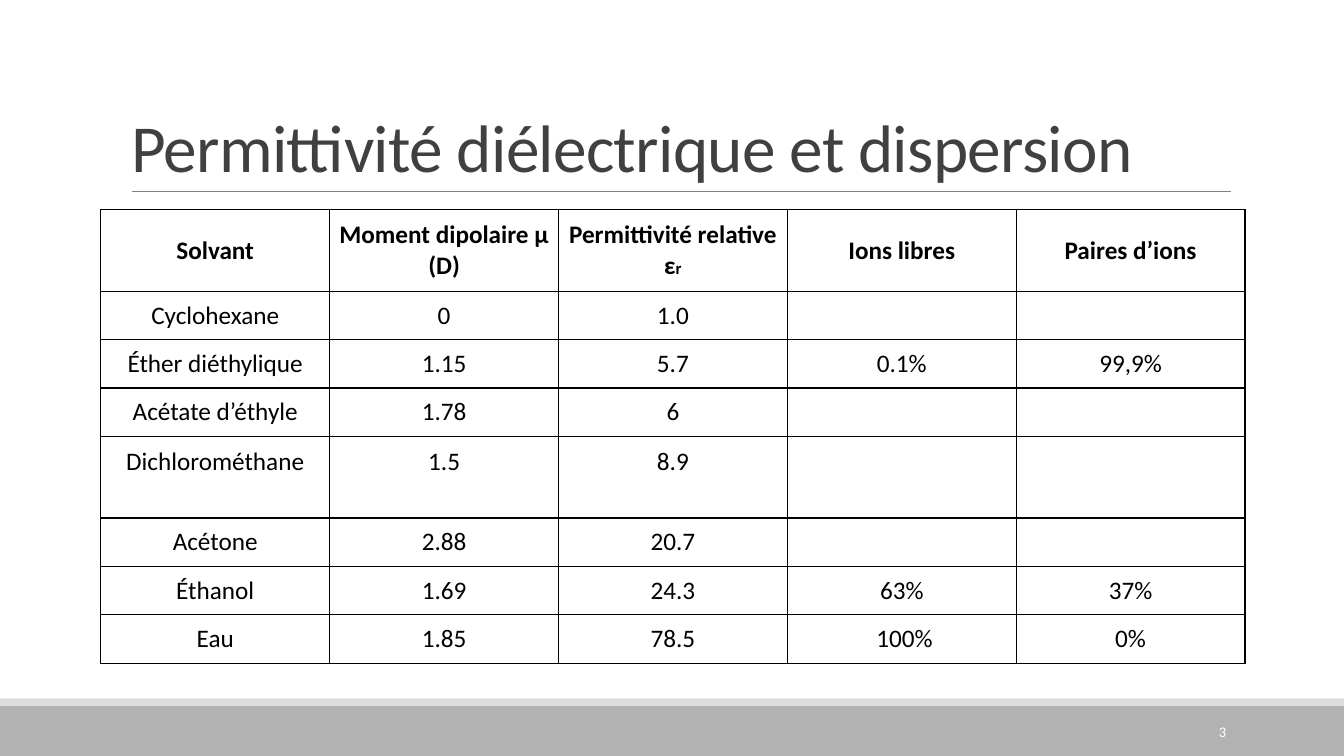
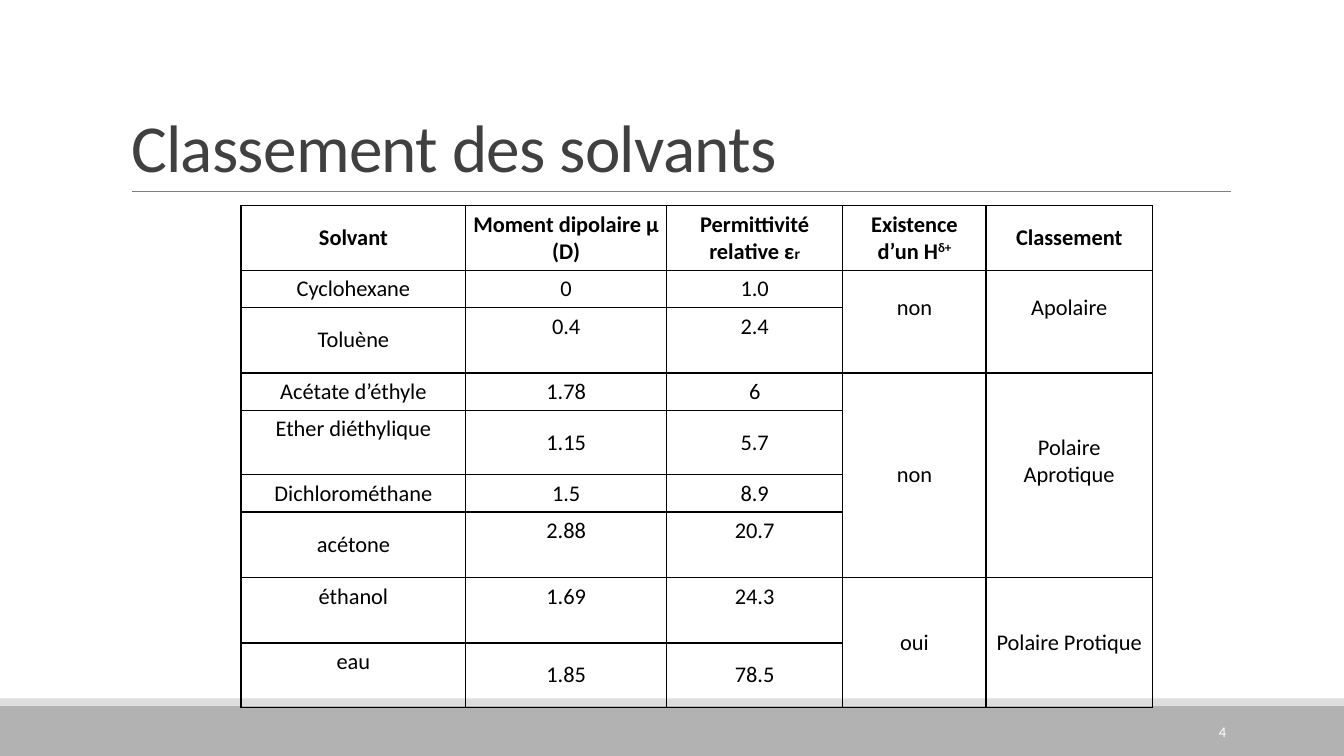
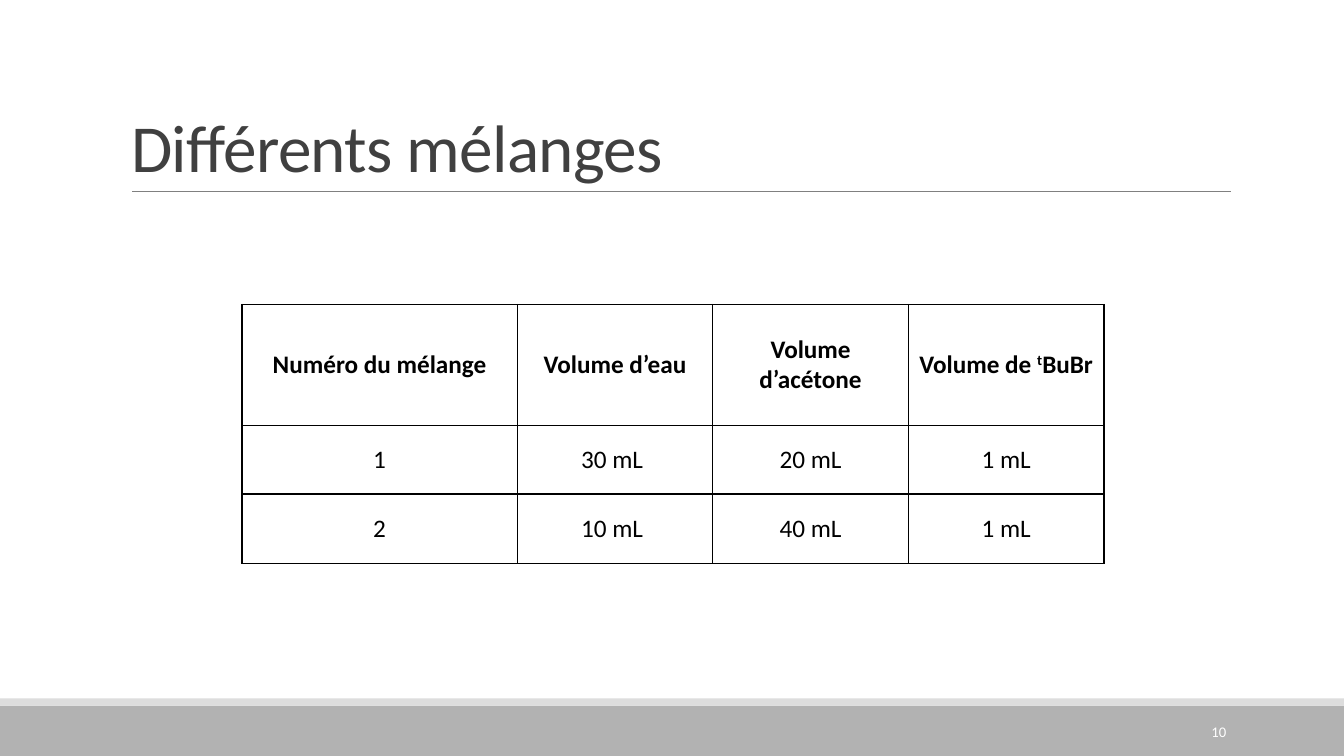
from lxml.etree import SubElement
from pptx import Presentation
from pptx.dml.color import RGBColor
from pptx.enum.shapes import MSO_CONNECTOR, MSO_SHAPE
from pptx.enum.text import MSO_ANCHOR, MSO_AUTO_SIZE, PP_ALIGN
from pptx.oxml import parse_xml
from pptx.oxml.ns import nsdecls, qn
from pptx.util import Inches, Pt

FONT = "Calibri"
BLACK, WHITE, TITLE_GREY = "000000", "FFFFFF", "404040"
BAND, STRIPE, RULE = "B2B2B2", "DDDDDD", "808080"


def rgb(value):
    return RGBColor.from_string(value)


def text(tf, runs, size=18, color=BLACK, bold=False, align=PP_ALIGN.LEFT,
         anchor=MSO_ANCHOR.MIDDLE, spacing=None, line=None):
    """Write one paragraph; runs is a string or a list of (text, size, baseline)."""
    tf.vertical_anchor = anchor
    p = tf.paragraphs[0]
    p.alignment = align
    p.line_spacing = line
    if not runs:
        p._p.get_or_add_endParaRPr().set("sz", str(size * 100))
        return
    if isinstance(runs, str):
        runs = [(runs, size, 0)]
    for content, run_size, baseline in runs:
        r = p.add_run()
        r.text = content
        r.font.name = FONT
        r.font.size = Pt(run_size)
        r.font.bold = bold
        r.font.color.rgb = rgb(color)
        if baseline:
            r._r.get_or_add_rPr().set("baseline", str(baseline * 1000))
        if spacing:
            r._r.get_or_add_rPr().set("spc", str(int(spacing * 100)))


# Content: "merge" gives row groups joined in the last two columns,
# "raised" the (row, column) cells whose text sits half a line higher
pages = [
    dict(
        title="Permittivité diélectrique et dispersion", number="3", size=18,
        left=1, top=2.08, cols=[2.27] * 5,
        heights=[0.81, 0.48, 0.48, 0.48, 0.81, 0.48, 0.48, 0.48],
        merge=[], raised=[(4, 0), (4, 1), (4, 2)],
        rows=[
            ["Solvant", "Moment dipolaire µ (D)",
             [("Permittivité relative ε", 18, 0), ("r", 12, 0)],
             "Ions libres", "Paires d’ions"],
            ["Cyclohexane", "0", "1.0", "", ""],
            ["Éther diéthylique", "1.15", "5.7", "0.1%", "99,9%"],
            ["Acétate d’éthyle", "1.78", "6", "", ""],
            ["Dichlorométhane", "1.5", "8.9", "", ""],
            ["Acétone", "2.88", "20.7", "", ""],
            ["Éthanol", "1.69", "24.3", "63%", "37%"],
            ["Eau", "1.85", "78.5", " 100%", "0%"],
        ],
    ),
    dict(
        title="Classement des solvants", number="4", size=16,
        left=2.39, top=2.04, cols=[2.23, 1.99, 1.75, 1.42, 1.65],
        heights=[0.64, 0.37, 0.65, 0.37, 0.64, 0.37, 0.65, 0.65, 0.64],
        merge=[(1, 2), (3, 6), (7, 8)],
        raised=[(1, 3), (1, 4), (2, 1), (2, 2), (3, 4), (4, 0),
                (6, 1), (6, 2), (7, 0), (7, 1), (7, 2), (8, 0)],
        rows=[
            ["Solvant", "Moment dipolaire µ (D)",
             [("Permittivité relative ε", 16, 0), ("r", 11, 0)],
             [("Existence d’un H", 16, 0), ("δ+", 16, 30)], "Classement"],
            ["Cyclohexane", "0", "1.0", "non", "Apolaire"],
            ["Toluène", "0.4", "2.4", "", ""],
            ["Acétate d’éthyle", "1.78", "6", "non", "Polaire Aprotique"],
            ["Ether diéthylique", "1.15", "5.7", "", ""],
            ["Dichlorométhane", "1.5", "8.9", "", ""],
            ["acétone", "2.88", "20.7", "", ""],
            ["éthanol", "1.69", "24.3", "oui", "Polaire Protique"],
            ["eau", "1.85", "78.5", "", ""],
        ],
    ),
    dict(
        title="Différents mélanges", number="10", size=18,
        left=2.4, top=3.02, cols=[2.73, 1.94, 1.94, 1.94],
        heights=[1.2, 0.68, 0.69], merge=[], raised=[],
        rows=[
            ["Numéro du mélange", "Volume d’eau", "Volume d’acétone",
             [("Volume de ", 18, 0), ("t", 18, 30), ("BuBr", 18, 0)]],
            ["1", "30 mL ", "20 mL", "1 mL"],
            ["2", "10 mL ", "40 mL", "1 mL"],
        ],
    ),
]

prs = Presentation()
prs.slide_width, prs.slide_height = Inches(13.33), Inches(7.5)
layout = prs.slide_layouts[5]
slides = [prs.slides.add_slide(layout) for _ in pages]

# Shared layout: title place, bottom bands and title rule
title = layout.placeholders[0]
title.left, title.top = Inches(1.2), Inches(0.31)
title.width, title.height = Inches(11), Inches(1.59)

shapes = slides[0].shapes
decor = []
for top, height, color in [(7, 0.5, BAND), (6.93, 0.07, STRIPE)]:
    sp = shapes.add_shape(MSO_SHAPE.RECTANGLE, 0, Inches(top),
                          prs.slide_width, Inches(height))
    sp.shadow.inherit = False
    sp.fill.solid()
    sp.fill.fore_color.rgb = rgb(color)
    sp.line.fill.background()
    decor.append(sp)
rule = shapes.add_connector(MSO_CONNECTOR.STRAIGHT, Inches(1.31), Inches(1.9),
                            Inches(12.21), Inches(1.9))
rule.line.color.rgb = rgb(RULE)
rule.line.width = Pt(0.5)
SubElement(rule._element.spPr, qn("a:effectLst"))
decor.append(rule)
for sp in decor:
    layout.shapes._spTree.append(sp._element)

for s, page in zip(slides, pages):
    # Title and slide number
    tf = s.shapes.title.text_frame
    tf.auto_size = MSO_AUTO_SIZE.NONE
    text(tf, page["title"], size=48, color=TITLE_GREY,
         anchor=MSO_ANCHOR.BOTTOM, spacing=-0.5, line=0.85)
    number = s.shapes.add_textbox(Inches(10.83), Inches(7.06), Inches(1.43), Inches(0.4))
    number.text_frame.word_wrap = True
    text(number.text_frame, page["number"], size=10.5, color=WHITE, align=PP_ALIGN.RIGHT)

    # Table grid
    cols, heights = page["cols"], page["heights"]
    table = s.shapes.add_table(
        len(heights), len(cols), Inches(page["left"]), Inches(page["top"]),
        Inches(sum(cols)), Inches(sum(heights))).table
    table.first_row = table.horz_banding = False
    for column, width in zip(table.columns, cols):
        column.width = Inches(width)
    for row, height in zip(table.rows, heights):
        row.height = Inches(height)
    for first, last in page["merge"]:
        for j in (3, 4):
            table.cell(first, j).merge(table.cell(last, j))

    # Table cells: text, margins, borders, no fill
    text_line = page["size"] * 1.22 / 72
    for i, row in enumerate(page["rows"]):
        for j, content in enumerate(row):
            cell = table.cell(i, j)
            text(cell.text_frame, content, size=page["size"], bold=i == 0,
                 align=PP_ALIGN.CENTER)
            cell.vertical_anchor = MSO_ANCHOR.MIDDLE
            cell.margin_left = cell.margin_right = Inches(0.07)
            if (i, j) in page["raised"]:
                cell.margin_bottom = Inches(0.05 + text_line)
            tcPr = cell._tc.get_or_add_tcPr()
            for side in ("lnL", "lnR", "lnT", "lnB"):
                tcPr.append(parse_xml(
                    f'<a:{side} {nsdecls("a")} w="12700"><a:solidFill>'
                    f'<a:srgbClr val="{BLACK}"/></a:solidFill></a:{side}>'))
            cell.fill.background()

prs.save("out.pptx")
